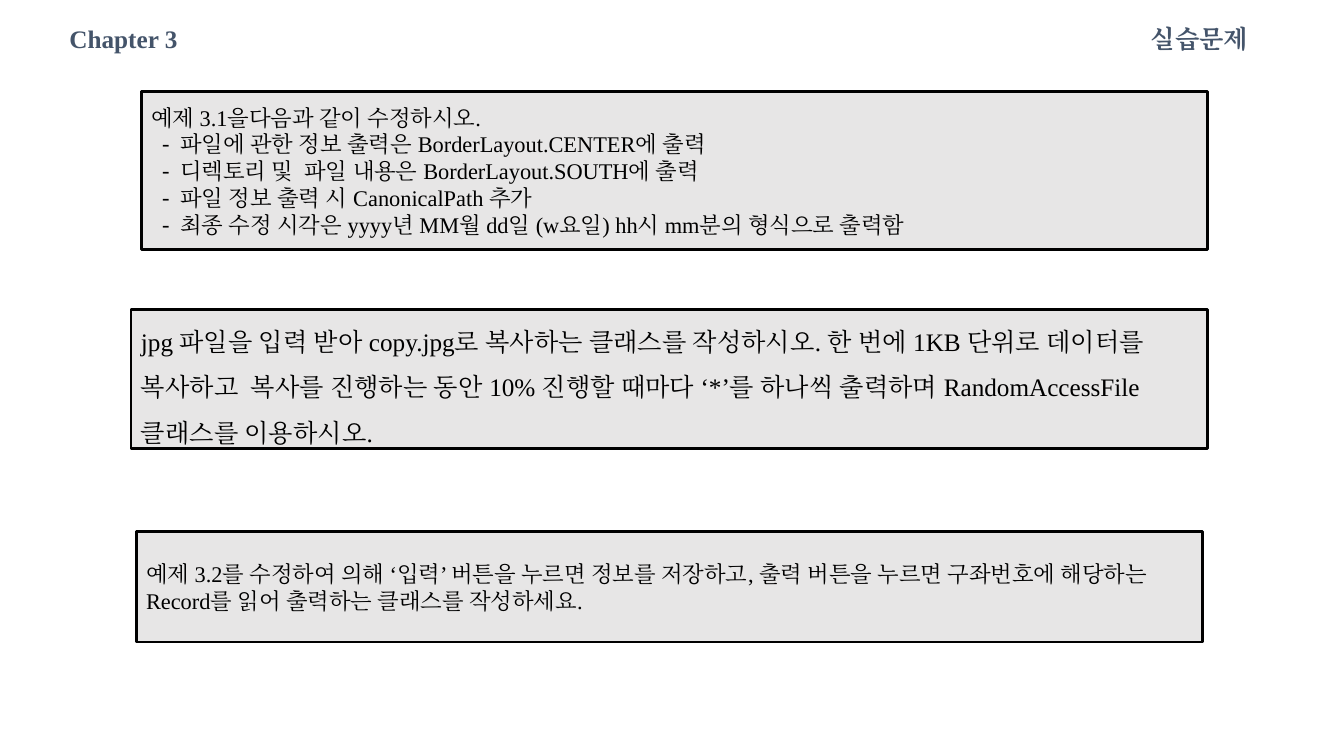
from dataclasses import dataclass

from lxml import etree
from pptx import Presentation
from pptx.dml.color import RGBColor
from pptx.enum.shapes import MSO_SHAPE
from pptx.enum.text import MSO_ANCHOR, PP_ALIGN
from pptx.oxml.ns import qn
from pptx.util import Pt

RECT = MSO_SHAPE.RECTANGLE
MIDDLE = MSO_ANCHOR.MIDDLE
LEFT, RIGHT, JUSTIFY = PP_ALIGN.LEFT, PP_ALIGN.RIGHT, PP_ALIGN.JUSTIFY
SCALE = 9144


@dataclass(frozen=True)
class Theme:
    """Hold the colours and type sizes of the slide."""
    font: str = "Times New Roman"
    ink: RGBColor = RGBColor(0, 0, 0)
    head: RGBColor = RGBColor(0x44, 0x54, 0x6A)
    panel: RGBColor = RGBColor(0xE7, 0xE6, 0xE6)
    large: int = 18
    small: int = 16
    line: int = 2


THEME = Theme()

FILES = [
    "예제 3.1을다음과 같이 수정하시오.",
    "- 파일에 관한 정보 출력은 BorderLayout.CENTER에 출력",
    "- 디렉토리 및  파일 내용은 BorderLayout.SOUTH에 출력",
    "- 파일 정보 출력 시 CanonicalPath 추가",
    "- 최종 수정 시각은 yyyy년 MM월 dd일 (w요일) hh시 mm분의 형식으로 출력함",
]
COPY = [
    "jpg 파일을 입력 받아 copy.jpg로 복사하는 클래스를 작성하시오. 한 번에 1KB 단위로 데이터를",
    "복사하고  복사를 진행하는 동안 10% 진행할 때마다 ‘*’를 하나씩 출력하며 RandomAccessFile",
    "클래스를 이용하시오.",
]
RECORD = [
    "예제 3.2를 수정하여 의해 ‘입력’ 버튼을 누르면 정보를 저장하고, 출력 버튼을 누르면 구좌번호에 해당하는",
    "Record를 읽어 출력하는 클래스를 작성하세요.",
]
PANELS = [
    ((130, 307, 1068, 138), COPY, THEME.large, 1.5),
    ((140, 91, 1058, 157), FILES, THEME.small, 1.0),
    ((135, 527, 1058, 110), RECORD, THEME.small, 1.0),
]


def px(*sizes):
    """Turn px lengths into EMU."""
    return [size * SCALE for size in sizes]


def apply(target, values):
    """Set each named value on the target."""
    for name, value in values.items():
        setattr(target, name, value)


def dash(para):
    """Give the paragraph an indented dash bullet."""
    props = para._p.get_or_add_pPr()
    margin, indent = px(29, -18)
    props.set("marL", str(margin))
    props.set("indent", str(indent))
    etree.SubElement(props, qn("a:buFont")).set("typeface", THEME.font)
    etree.SubElement(props, qn("a:buChar")).set("char", "-")


def write(frame, lines, style, format):
    """Fill a text frame with one paragraph per line."""
    apply(frame, {"word_wrap": True, "vertical_anchor": MIDDLE})
    for index, line in enumerate(lines):
        para = frame.add_paragraph() if index else frame.paragraphs[0]
        apply(para, format)
        if line.startswith("- "):
            dash(para)
        run = para.add_run()
        run.text = line.removeprefix("- ")
        apply(run.font, {"name": THEME.font, "size": Pt(style["size"]),
                         "bold": style["bold"]})
        run.font.color.rgb = style["color"]
        east = etree.SubElement(run._r.get_or_add_rPr(), qn("a:ea"))
        east.set("typeface", THEME.font)


def header(slide, box):
    """Place the chapter at the left and the topic at the right."""
    left, top, width, height = box
    style = {"size": THEME.large, "bold": True, "color": THEME.head}
    labels = [("Chapter 3", left, 142, LEFT),
              ("실습문제", left + width - 252, 252, RIGHT)]
    for text, start, span, align in labels:
        area = slide.shapes.add_textbox(*px(start, top, span, height))
        area.text_frame.margin_right = px(16)[0]
        write(area.text_frame, [text], style, {"alignment": align})


def panel(slide, box, lines, size, space):
    """Draw one framed exercise in the given box."""
    shape = slide.shapes.add_shape(RECT, *px(*box))
    shape.shadow.inherit = False
    shape.fill.solid()
    shape.fill.fore_color.rgb = THEME.panel
    shape.line.color.rgb = THEME.ink
    shape.line.width = Pt(THEME.line)
    style = {"size": size, "bold": False, "color": THEME.ink}
    write(shape.text_frame, lines, style,
          {"alignment": JUSTIFY, "line_spacing": space})


def main():
    """Build and save the exercise slide."""
    deck = Presentation()
    width, height = px(1333, 750)
    apply(deck, {"slide_width": width, "slide_height": height})
    slide = deck.slides.add_slide(deck.slide_layouts[6])
    header(slide, (59, 17, 1195, 42))
    for box, lines, size, space in PANELS:
        panel(slide, box, lines, size, space)
    deck.save("out.pptx")


if __name__ == "__main__":
    main()
